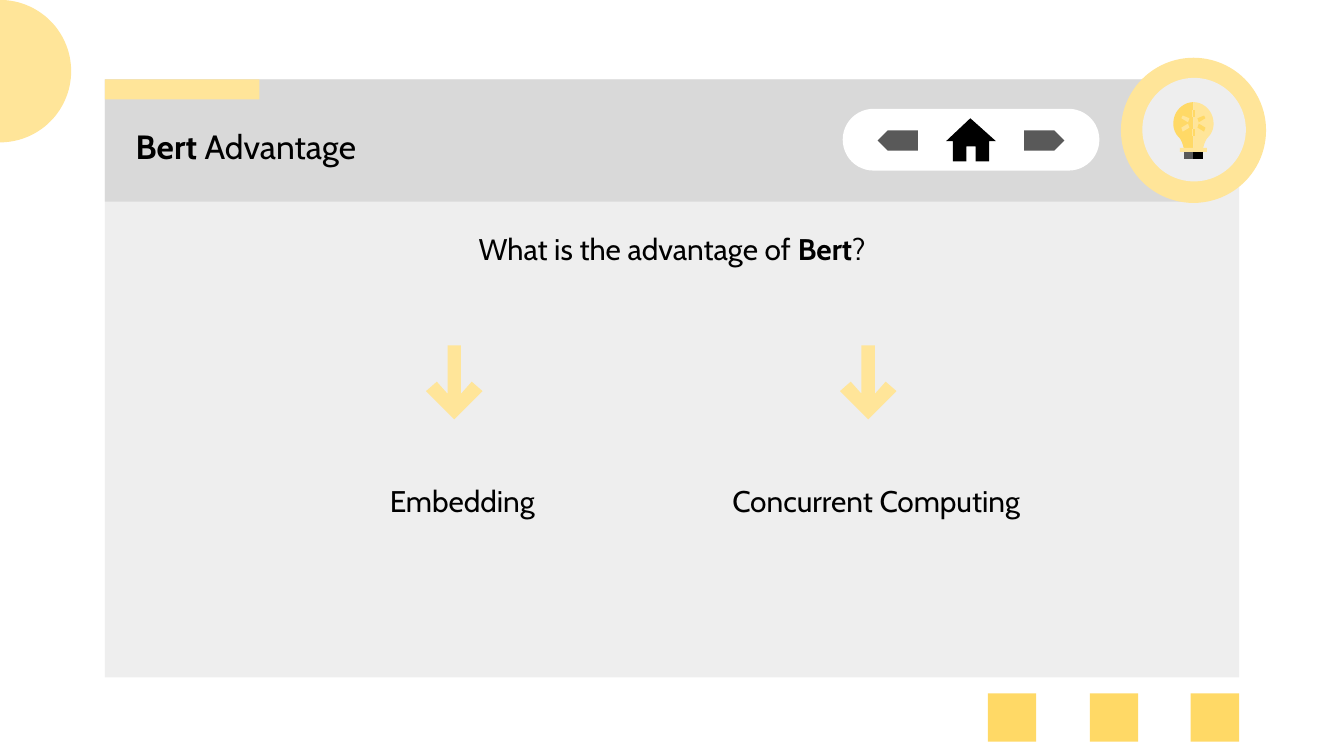
from dataclasses import dataclass
from math import cos, pi, sin

from pptx import Presentation
from pptx.dml.color import RGBColor
from pptx.enum.shapes import MSO_SHAPE
from pptx.enum.text import MSO_ANCHOR, MSO_AUTO_SIZE, PP_ALIGN
from pptx.util import Inches, Pt

RECT, OVAL = MSO_SHAPE.RECTANGLE, MSO_SHAPE.OVAL
ROUNDED, PENTAGON = MSO_SHAPE.ROUNDED_RECTANGLE, MSO_SHAPE.PENTAGON
LEFT, CENTER = PP_ALIGN.LEFT, PP_ALIGN.CENTER


@dataclass(frozen=True)
class Theme:
    font: str = "Cabin"
    title_size: int = 18
    body_size: int = 16
    black: str = "000000"
    white: str = "FFFFFF"
    dark: str = "595959"
    header: str = "D9D9D9"
    panel: str = "EEEEEE"
    pale: str = "FFE599"
    gold: str = "FFD966"


THEME = Theme()
HOME = [(7.22, 0.88), (7.04, 1.05), (7.09, 1.05), (7.09, 1.2), (7.19, 1.2), (7.19, 1.09),
        (7.26, 1.09), (7.26, 1.2), (7.36, 1.2), (7.36, 1.05), (7.41, 1.05)]
# Offsets from the bulb's vertical axis; each half mirrors the other.
BULB_CURVES = [
    [(0, 0.76), (0.08, 0.76), (0.15, 0.83), (0.15, 0.92)],
    [(0.15, 0.92), (0.15, 0.95), (0.14, 0.99), (0.11, 1.02)],
    [(0.11, 1.02), (0.09, 1.04), (0.08, 1.07), (0.07, 1.11)],
]
BULB_RAYS = [
    [(0.08, 0.86), (0.03, 0.88), (0.04, 0.91), (0.09, 0.88)],
    [(0.04, 0.92), (0.03, 0.95), (0.08, 0.98), (0.09, 0.95)],
]
# Right half of a down arrow, as offsets from its tip, going up.
ARROW_HALF = [(0.21, -0.21), (0.13, -0.28), (0.05, -0.19), (0.05, -0.55)]


def paint(sp, color):
    sp.shadow.inherit = False
    sp.fill.solid()
    sp.fill.fore_color.rgb = RGBColor.from_string(color)
    sp.line.fill.background()
    return sp


def add_shape(s, kind, box, color):
    return paint(s.shapes.add_shape(kind, *map(Inches, box)), color)


def add_polygon(s, points, color):
    start, *rest = [(Inches(x), Inches(y)) for x, y in points]
    builder = s.shapes.build_freeform(*start)
    builder.add_line_segments(rest, close=True)
    return paint(builder.convert_to_shape(), color)


def bezier(curve, steps=10):
    """Sample a cubic curve given by its four control points."""
    points = []
    for i in range(steps + 1):
        t = i / steps
        weights = ((1 - t) ** 3, 3 * t * (1 - t) ** 2, 3 * t * t * (1 - t), t ** 3)
        points.append(tuple(sum(w * p[axis] for w, p in zip(weights, curve))
                            for axis in (0, 1)))
    return points


def write_text(sp, box, runs, size, align, indent=0):
    """Place a text shape and fill it with (text, bold) runs."""
    sp.left, sp.top, sp.width, sp.height = map(Inches, box)
    tf = sp.text_frame
    frame_format = {"word_wrap": True, "auto_size": MSO_AUTO_SIZE.NONE,
                    "vertical_anchor": MSO_ANCHOR.MIDDLE}
    frame_format |= {f"margin_{side}": Inches(0.1)
                     for side in ("left", "top", "right", "bottom")}
    for name, value in frame_format.items():
        setattr(tf, name, value)
    p = tf.paragraphs[0]
    p.alignment = align
    if indent:
        p._p.get_or_add_pPr().set("marL", str(Inches(indent)))
    for text, bold in runs:
        r = p.add_run()
        r.text = text
        for name, value in {"name": THEME.font, "size": Pt(size), "bold": bold}.items():
            setattr(r.font, name, value)
        r.font.color.rgb = RGBColor.from_string(THEME.black)


def add_text(s, box, runs, indent=0):
    sp = s.shapes.add_textbox(*map(Inches, box))
    write_text(sp, box, runs, THEME.body_size, CENTER, indent)


def add_title(s, box, runs):
    sp = s.shapes.title
    write_text(sp, box, runs, THEME.title_size, LEFT)
    sp.element.getparent().append(sp.element)  # bring in front of the header


def add_backdrop(s):
    add_shape(s, RECT, (0.78, 0.59, 8.44, 4.45), THEME.panel)
    add_shape(s, RECT, (0.78, 0.59, 8.12, 0.91), THEME.header)
    add_shape(s, ROUNDED, (6.27, 0.81, 1.91, 0.46), THEME.white).adjustments[0] = 0.5
    add_shape(s, RECT, (0.78, 0.59, 1.15, 0.15), THEME.pale)
    add_shape(s, OVAL, (8.34, 0.43, 1.08, 1.08), THEME.pale)
    steps, radius = 60, 0.53
    half_circle = [(radius * sin(pi * i / steps), radius * (1 - cos(pi * i / steps)))
                   for i in range(steps + 1)]
    add_polygon(s, half_circle, THEME.pale)
    for left in (7.35, 8.11, 8.86):
        add_shape(s, RECT, (left, 5.16, 0.36, 0.36), THEME.gold)


def add_bulb(s, axis=8.88):
    add_shape(s, OVAL, (axis - 0.38, 0.58, 0.77, 0.77), THEME.panel)
    glass = [point for curve in BULB_CURVES for point in bezier(curve)] + [(0, 1.11)]
    halves = [(-1, THEME.gold, THEME.pale, THEME.dark),
              (1, THEME.pale, THEME.gold, THEME.black)]
    for side, glass_color, ray_color, base_color in halves:
        base = [(0, 1.11), (0.07, 1.11), (0.07, 1.18), (0, 1.18)]
        filaments = [[(0, y), (0.01, y), (0.01, y + 0.05), (0, y + 0.05)]
                     for y in (0.82, 0.96)]
        parts = [(base, base_color), (glass, glass_color)]
        parts += [(outline, ray_color) for outline in filaments + BULB_RAYS]
        for outline, color in parts:
            add_polygon(s, [(axis + side * dx, y) for dx, y in outline], color)
    add_shape(s, RECT, (axis - 0.1, 1.1, 0.2, 0.03), THEME.pale)


def add_navigation(s):
    for left, rotation in ((7.62, 0), (6.53, 180)):
        add_shape(s, PENTAGON, (left, 0.97, 0.3, 0.15), THEME.dark).rotation = rotation
    add_polygon(s, HOME, THEME.black)


def add_down_arrow(s, x, y):
    """Draw an arrow whose tip is at (x, y)."""
    left_half = [(-dx, dy) for dx, dy in reversed(ARROW_HALF)]
    outline = [(0, 0)] + ARROW_HALF + left_half
    add_polygon(s, [(x + dx, y + dy) for dx, dy in outline], THEME.pale)


def main():
    prs = Presentation()
    prs.slide_width, prs.slide_height = Inches(10), Inches(10 * 9 / 16)
    s = prs.slides.add_slide(prs.slide_layouts[5])
    add_backdrop(s)
    add_bulb(s)
    add_title(s, (0.91, 0.92, 2.94, 0.34), [("Bert", True), (" Advantage", False)])
    add_navigation(s)
    add_text(s, (2.4, 1.66, 5.2, 0.38),
             [("What is the advantage of ", False), ("Bert", True), ("?", False)])
    for i, advantage in enumerate(("Embedding", "Concurrent Computing")):
        shift = 3.08 * i
        add_down_arrow(s, 3.38 + shift, 3.12)
        add_text(s, (1.85 + shift, 2.94, 3.04, 1.57), [(advantage, False)], indent=0.14)
    prs.save("out.pptx")


if __name__ == "__main__":
    main()
